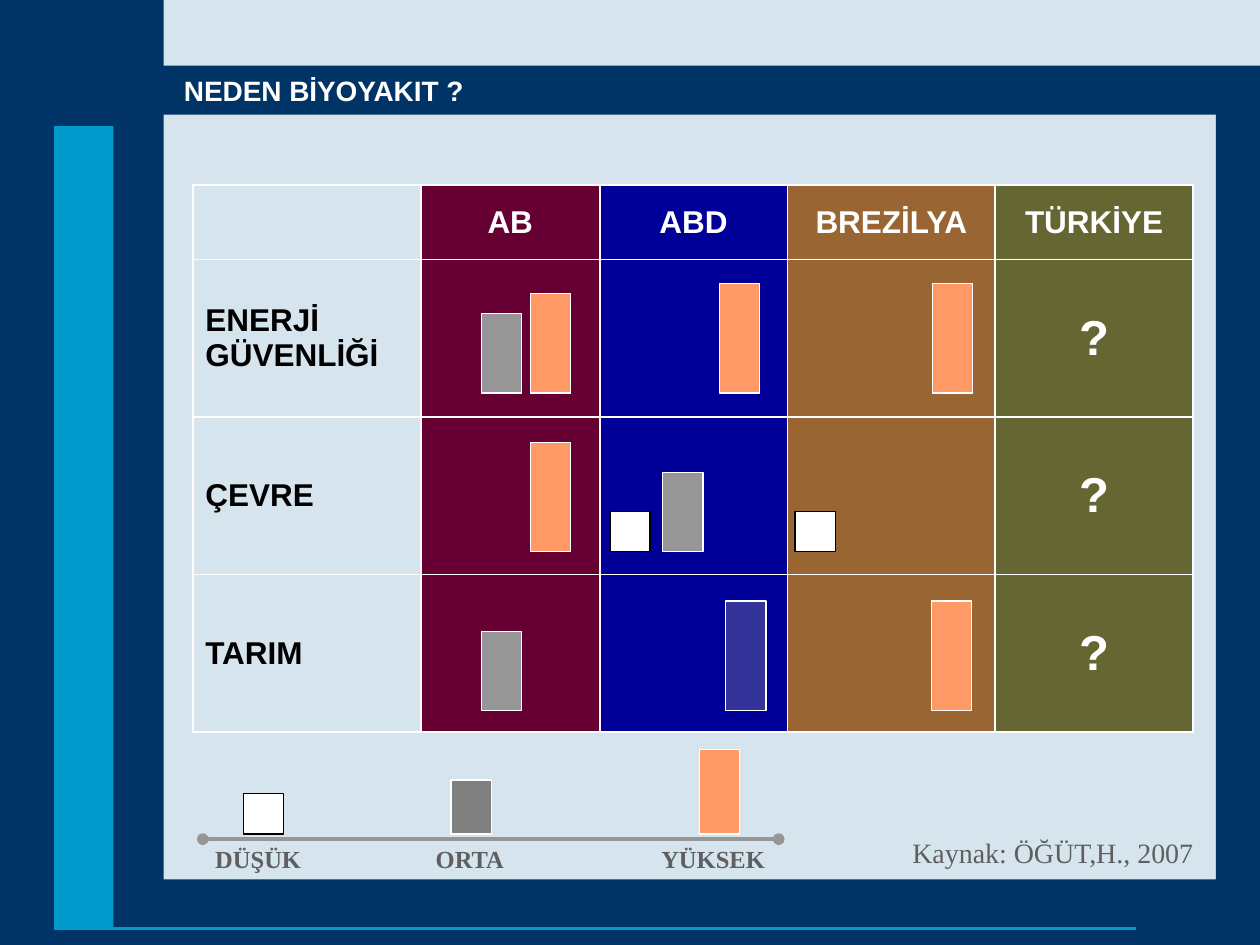
from dataclasses import dataclass

from pptx import Presentation
from pptx.dml.color import RGBColor
from pptx.enum.shapes import MSO_CONNECTOR, MSO_SHAPE
from pptx.enum.text import MSO_ANCHOR as ANCHOR, MSO_AUTO_SIZE as AUTO, PP_ALIGN as ALIGN
from pptx.oxml.xmlchemy import OxmlElement as Element
from pptx.util import Inches, Pt

NAVY, CYAN, WHITE, BLACK = "003366", "0099CC", "FFFFFF", "000000"
GRAY, ORANGE, INDIGO, TEXT_GRAY = "969696", "FF9966", "333399", "5F5F5F"
LOW, MEDIUM, HIGH = 0.32, 0.63, 0.87
ROW_BASES = ENERGY, ENVIRONMENT, FARMING = 3.12, 4.38, 5.64
LEGEND = 6.62
BAR_WIDTH = 0.32


@dataclass
class Bar:
    left: float
    base: float
    height: float
    fill: str
    line: str = WHITE


BARS = [
    # Legend
    Bar(1.93, LEGEND, LOW, WHITE, BLACK),
    Bar(3.58, LEGEND, 0.43, "808080"),
    Bar(5.55, LEGEND, 0.67, ORANGE),
    # AB
    Bar(3.82, ENERGY, MEDIUM, GRAY),
    Bar(4.21, ENERGY, 0.79, ORANGE),
    Bar(4.21, ENVIRONMENT, HIGH, ORANGE),
    Bar(3.82, FARMING, MEDIUM, GRAY),
    # ABD
    Bar(5.71, ENERGY, HIGH, ORANGE),
    Bar(4.84, ENVIRONMENT, LOW, WHITE, BLACK),
    Bar(5.26, ENVIRONMENT, MEDIUM, GRAY),
    Bar(5.76, FARMING, HIGH, INDIGO),
    # BREZİLYA
    Bar(7.4, ENERGY, HIGH, ORANGE),
    Bar(6.31, ENVIRONMENT, LOW, WHITE, BLACK),
    Bar(7.39, FARMING, HIGH, ORANGE),
]

COL_WIDTHS = [1.81, 1.42, 1.49, 1.65, 1.57]
ROW_HEIGHTS = [0.59, 1.25, 1.25, 1.25]
COL_FILLS = [None, "660033", "000099", "996633", "666633"]
ROWS = [
    ["", "AB", "ABD", "BREZİLYA", "TÜRKİYE"],
    ["ENERJİ GÜVENLİĞİ", "", "", "", "?"],
    ["ÇEVRE", "", "", "", "?"],
    ["TARIM", "", "", "", "?"],
]


def rgb(color: str) -> RGBColor:
    return RGBColor.from_string(color)


def write(tf, text: str, *, size: float, color: str, font: str = "Arial",
          bold: bool = True, align=ALIGN.LEFT, tabs: tuple = ()) -> None:
    p = tf.paragraphs[0]
    p.alignment = align
    p.space_before = Pt(0)
    if tabs:
        tab_list = Element("a:tabLst")
        for pos in tabs:
            tab = Element("a:tab")
            tab.set("pos", str(Inches(pos)))
            tab.set("algn", "l")
            tab_list.append(tab)
        p._p.get_or_add_pPr().append(tab_list)
    r = p.add_run()
    r.text = text
    r.font.name, r.font.size, r.font.bold = font, Pt(size), bold
    r.font.color.rgb = rgb(color)


def add_rect(slide, left: float, top: float, width: float, height: float,
             fill: str, line: str = "") -> None:
    s = slide.shapes.add_shape(MSO_SHAPE.RECTANGLE, Inches(left), Inches(top),
                               Inches(width), Inches(height))
    s.shadow.inherit = False
    s.fill.solid()
    s.fill.fore_color.rgb = rgb(fill)
    if line:
        s.line.color.rgb = rgb(line)
        s.line.width = Pt(0.75)
    else:
        s.line.fill.background()


def add_rule(slide, left: float, right: float, y: float, color: str,
             width: float, ends: str = "") -> None:
    s = slide.shapes.add_connector(MSO_CONNECTOR.STRAIGHT, Inches(left), Inches(y),
                                   Inches(right), Inches(y))
    s.line.color.rgb = rgb(color)
    s.line.width = Pt(width)
    if ends:
        ln = s.line._get_or_add_ln()
        for tag in ("a:headEnd", "a:tailEnd"):
            end = Element(tag)
            end.set("type", ends)
            ln.append(end)
    s._element.spPr.append(Element("a:effectLst"))


def add_label(slide, left: float, top: float, width: float, height: float,
              text: str, **style) -> None:
    tf = slide.shapes.add_textbox(Inches(left), Inches(top), Inches(width),
                                  Inches(height)).text_frame
    tf.word_wrap = True
    write(tf, text, color=TEXT_GRAY, font="Times New Roman", **style)


def set_borders(cell, widths: dict) -> None:
    tc_pr = cell._tc.get_or_add_tcPr()
    for side, width in widths.items():
        ln = Element(f"a:ln{side}")
        ln.set("w", str(Pt(width)))
        fill, color = Element("a:solidFill"), Element("a:srgbClr")
        color.set("val", WHITE)
        fill.append(color)
        ln.append(fill)
        tc_pr.append(ln)


def add_matrix(slide) -> None:
    table = slide.shapes.add_table(
        len(ROWS), len(COL_WIDTHS), Inches(1.53), Inches(1.47),
        Inches(sum(COL_WIDTHS)), Inches(sum(ROW_HEIGHTS))).table
    table.first_row = table.horz_banding = False
    for col, width in zip(table.columns, COL_WIDTHS):
        col.width = Inches(width)
    for row, height in zip(table.rows, ROW_HEIGHTS):
        row.height = Inches(height)

    last_row, last_col = len(ROWS) - 1, len(COL_WIDTHS) - 1
    thick, thin = 1.47, 1.08
    for i, texts in enumerate(ROWS):
        for j, text in enumerate(texts):
            cell = table.cell(i, j)
            set_borders(cell, {"L": thin if j else thick,
                               "R": thick if j == last_col else thin,
                               "T": thin if i else thick,
                               "B": thick if i == last_row else thin})
            if COL_FILLS[j]:
                cell.fill.solid()
                cell.fill.fore_color.rgb = rgb(COL_FILLS[j])
            else:
                cell.fill.background()
            cell.vertical_anchor = ANCHOR.MIDDLE
            if text:
                write(cell.text_frame, text, size=28 if text == "?" else 18,
                      color=WHITE if j else BLACK,
                      align=ALIGN.CENTER if j else ALIGN.LEFT)


def main() -> None:
    prs = Presentation()
    prs.slide_width, prs.slide_height = Inches(10), Inches(7.5)
    slide = prs.slides.add_slide(prs.slide_layouts[5])
    slide.background.fill.solid()
    slide.background.fill.fore_color.rgb = rgb("D6E4EE")

    # Title band
    title = slide.shapes.title
    title.left, title.top = Inches(0), Inches(0.52)
    title.width, title.height = Inches(10), Inches(0.39)
    title.fill.solid()
    title.fill.fore_color.rgb = rgb(NAVY)
    tf = title.text_frame
    tf.auto_size = AUTO.NONE
    tf.vertical_anchor = ANCHOR.MIDDLE
    tf.margin_left = Inches(1.46)
    write(tf, "NEDEN BİYOYAKIT ?", size=16, color=WHITE)

    # Matrix with its bars and the legend
    add_matrix(slide)
    add_rule(slide, 1.61, 6.18, 6.66, GRAY, 2.25, ends="oval")
    for bar in BARS:
        add_rect(slide, bar.left, bar.base - bar.height, BAR_WIDTH, bar.height,
                 bar.fill, bar.line)
    add_label(slide, 1.61, 6.65, 4.73, 0.34, "DÜŞÜK\tORTA\tYÜKSEK", size=14,
              tabs=(1.75, 3.54))
    add_label(slide, 6.73, 6.58, 2.84, 0.37, "Kaynak: ÖĞÜT,H., 2007", size=16,
              bold=False, align=ALIGN.RIGHT)

    # Frame around the content
    add_rect(slide, 0, 6.98, 10, 0.55, NAVY)
    add_rect(slide, 9.65, 0.6, 0.35, 6.61, NAVY)
    add_rect(slide, 0, 0, 1.3, 7.5, NAVY)
    add_rule(slide, 0.75, 9.02, 7.37, CYAN, 1.75)
    add_rect(slide, 0.43, 1, 0.47, 6.38, CYAN)

    prs.save("out.pptx")


if __name__ == "__main__":
    main()
